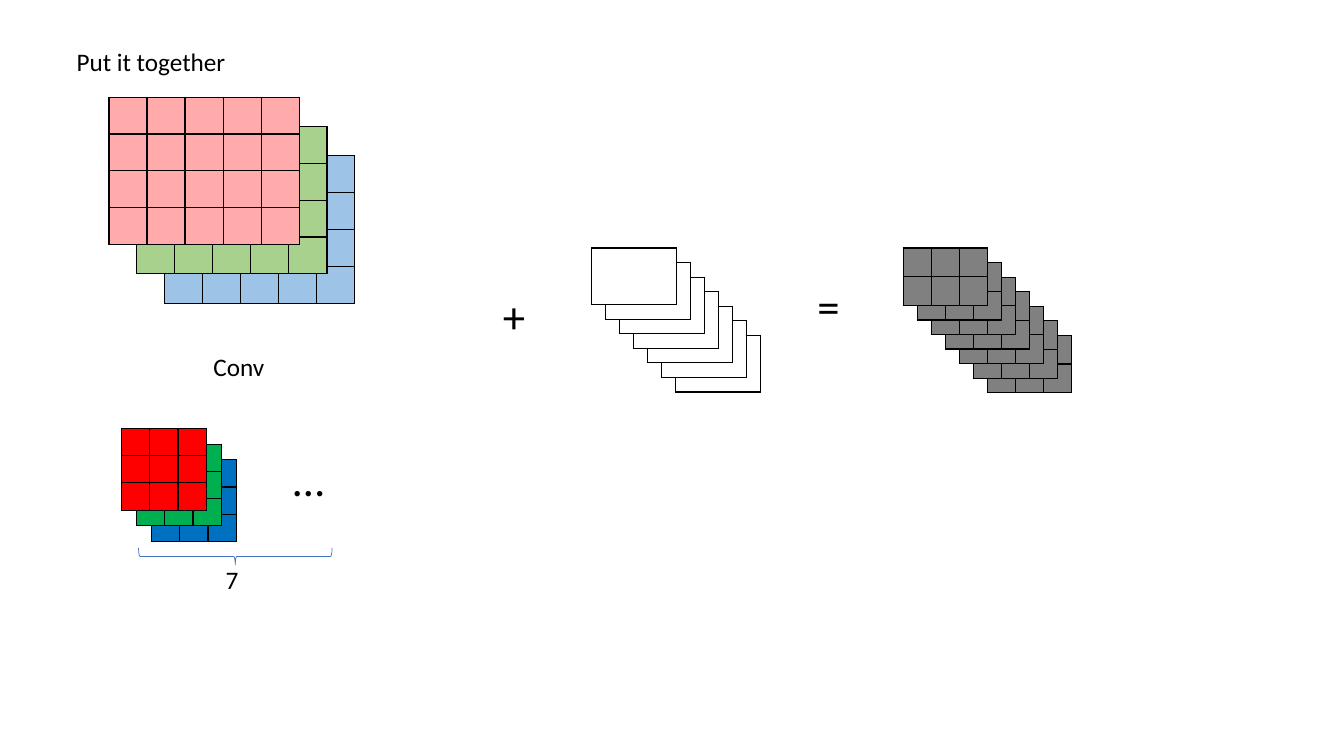
from lxml import etree
from pptx import Presentation
from pptx.dml.color import RGBColor
from pptx.enum import shapes, text
from pptx.oxml import ns
from pptx.util import Inches, Pt

deck = Presentation()
deck.slide_width, deck.slide_height = Inches(13.333), Inches(7.5)
# One column and one row are the offset between two stacked feature maps.
COLUMN, ROW = deck.slide_width / 96, deck.slide_height / 52
page = deck.slides.add_slide(deck.slide_layouts[5])


def color(value):
    """Turn a hex string into a colour."""
    return RGBColor.from_string(value)


def area(left, top, width, height):
    """Turn grid columns and rows into a slide position and size."""
    return [round(n) for n in (left * COLUMN, top * ROW, width * COLUMN, height * ROW)]


# Stacks of matrices: front corner, matrix size, cell counts, step, fills front to back
stacks = [
    ((64.51, 17.06), (6.05, 3.95), (3, 2), (1, 1), ["808080"] * 7),
    ((7.78, 6.68), (13.6, 10.14), (5, 4), (1.98, 2.02), ["FFABAB", "A9D18E", "9DC3E6"]),
    ((8.68, 29.47), (6.05, 5.62), (3, 3), (1.07, 1.08), ["FF0000", "00B050", "0070C0"]),
    ((42.26, 17.06), (6.05, 3.9), (1, 1), (1, 1), ["FFFFFF"] * 7),
]
for (left, top), (width, height), (columns, rows), (step_x, step_y), fills in stacks:
    for layer, fill in reversed(list(enumerate(fills))):
        place = area(left + layer * step_x, top + layer * step_y, width, height)
        matrix = page.shapes.add_table(rows, columns, *place).table
        matrix.first_row = matrix.horz_banding = False
        for cell in matrix.iter_cells():
            cell.margin_left = cell.margin_right = cell.margin_top = cell.margin_bottom = 0
            cell.fill.solid()
            cell.fill.fore_color.rgb = color(fill)
            paragraph = cell.text_frame.paragraphs[0]._p
            etree.SubElement(paragraph, ns.qn("a:endParaRPr"), sz="800")
            properties = cell._tc.get_or_add_tcPr()
            for index, side in enumerate(("lnL", "lnR", "lnT", "lnB")):
                border = etree.Element(ns.qn("a:" + side), w=str(Pt(1)))
                solid = etree.SubElement(border, ns.qn("a:solidFill"))
                etree.SubElement(solid, ns.qn("a:srgbClr"), val="000000")
                properties.insert(index, border)

# Brace under the kernels
brace = page.shapes.add_shape(shapes.MSO_SHAPE.LEFT_BRACE, *area(16.2, 31.62, 1.22, 13.31))
brace.rotation = 270
brace.shadow.inherit = False
brace.fill.background()
brace.line.color.rgb = color("4472C4")
brace.line.width = Pt(0.5)

# Title, labels and operators
labels = [
    ("Put it together", 18, (4.75, 2.84, 70.13, 2.77)),
    ("Conv", 18, (14.54, 23.85, 6.62, 2.77)),
    ("7", 18, (15.41, 38.48, 2.02, 2.77)),
    ("+", 32, (35.21, 19.55, 3.46, 4.44)),
    ("=", 32, (57.67, 18.86, 3.46, 4.44)),
    ("…", 32, (20.23, 30.72, 10.22, 4.44)),
]
for number, (words, size, place) in enumerate(labels):
    box = page.shapes.add_textbox(0, 0, 0, 0) if number else page.shapes.title
    box.left, box.top, box.width, box.height = area(*place)
    frame = box.text_frame
    frame.word_wrap = True
    frame.auto_size = text.MSO_AUTO_SIZE.SHAPE_TO_FIT_TEXT
    frame.vertical_anchor = text.MSO_ANCHOR.TOP
    frame.paragraphs[0].alignment = text.PP_ALIGN.LEFT
    span = frame.paragraphs[0].add_run()
    span.text = words
    span.font.name = "Calibri"
    span.font.size = Pt(size)
    span.font.color.rgb = color("000000")

deck.save("out.pptx")
